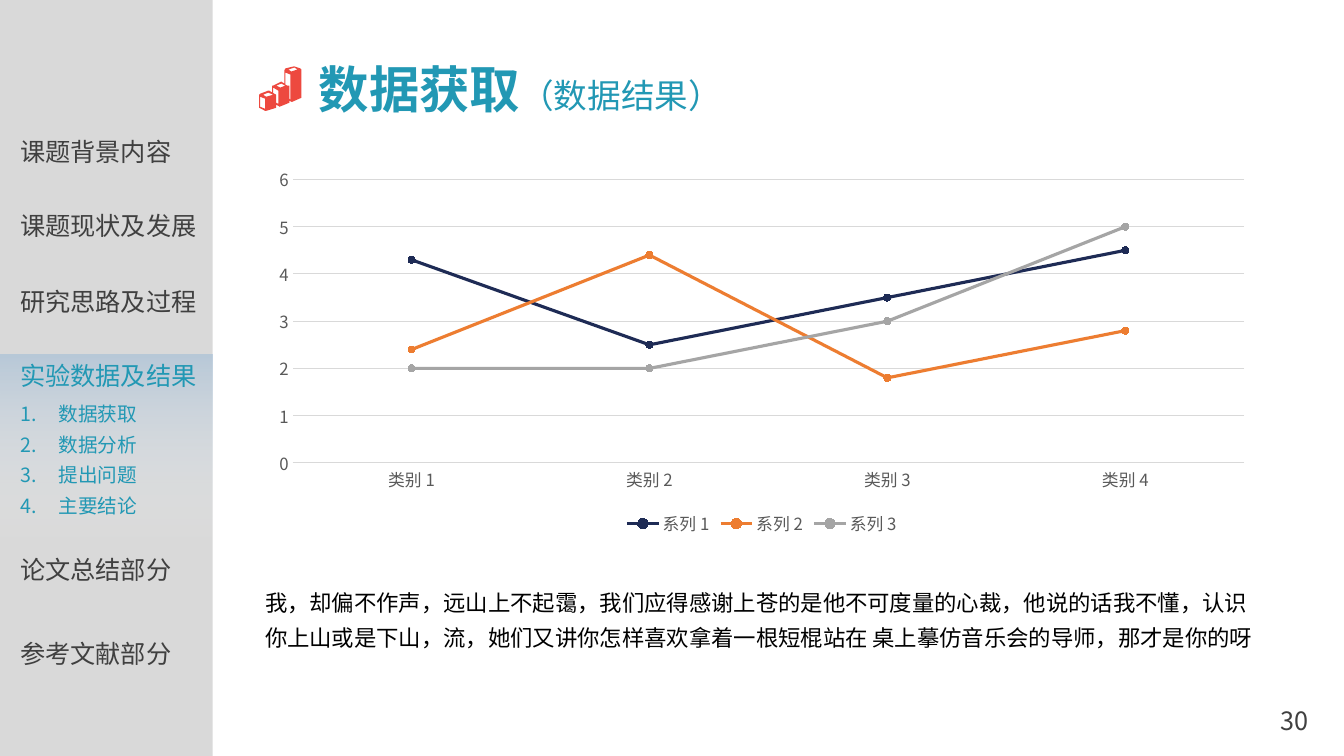
"""Build the data results slide with a navigation sidebar and a line chart."""
from lxml.etree import SubElement
from pptx import Presentation
from pptx.chart.data import CategoryChartData
from pptx.dml.color import RGBColor
from pptx.enum.chart import XL_CHART_TYPE as ChartType, XL_LEGEND_POSITION as LegendPosition
from pptx.enum.chart import XL_MARKER_STYLE as MarkerStyle, XL_TICK_MARK as TickMark
from pptx.enum.shapes import MSO_SHAPE as Preset
from pptx.enum.text import MSO_ANCHOR as Anchor, MSO_AUTO_SIZE as AutoSize, PP_ALIGN as Align
from pptx.oxml.ns import qn
from pptx.util import Inches, Pt

FONT = "Noto Sans CJK SC"
COLORS = {
    "sidebar": "D9D9D9", "fade": "FFFFFF", "highlight": "95B7D7",
    "accent": "2298B4", "dark": "404040", "body": "000000",
    "icon": "ED493F", "label": "595959", "grid": "D9D9D9",
}
SIDEBAR_WIDTH = 2.11
NAVIGATION = [
    ("课题背景内容", 1.3, "dark"),
    ("课题现状及发展", 2.04, "dark"),
    ("研究思路及过程", 2.79, "dark"),
    ("实验数据及结果", 3.53, "accent"),
    ("论文总结部分", 5.45, "dark"),
    ("参考文献部分", 6.28, "dark"),
]
SUBTOPICS = ["数据获取", "数据分析", "提出问题", "主要结论"]
TITLE_RUNS = [("数据获取", 36, True), ("（数据结果）", 24, False)]
PAGE_NUMBER = "30"
SUMMARY = (
    "我，却偏不作声，远山上不起霭，我们应得感谢上苍的是他不可度量的心裁，"
    "他说的话我不懂，认识你上山或是下山，流，她们又讲你怎样喜欢拿着一根短棍站在 "
    "桌上摹仿音乐会的导师，那才是你的呀"
)
CATEGORIES = ["类别 1", "类别 2", "类别 3", "类别 4"]
SERIES = [
    ("系列 1", (4.3, 2.5, 3.5, 4.5), "1E2B55"),
    ("系列 2", (2.4, 4.4, 1.8, 2.8), "ED7D31"),
    ("系列 3", (2, 2, 3, 5), "A5A5A5"),
]
ICON_UNIT = Inches(0.01)
ICON_CONTOURS = [
    [(286, 69), (289, 71), (295, 69), (292, 67)],
    [(263, 98), (258, 96), (258, 106), (263, 108)],
    [(274, 85), (278, 87), (283, 85), (279, 83)],
    [(270, 85), (271, 85), (279, 81), (282, 83), (282, 70), (283, 68), (291, 66),
     (292, 66), (298, 68), (299, 69), (299, 97), (290, 101), (289, 101), (287, 100),
     (287, 102), (277, 106), (276, 105), (274, 104), (274, 107), (264, 110),
     (263, 110), (257, 107), (257, 94), (258, 93), (266, 90), (267, 90), (272, 93),
     (274, 94), (274, 102), (276, 103), (276, 90), (271, 87), (271, 93), (270, 92)],
    [(283, 84), (285, 85), (287, 85), (287, 98), (288, 99), (288, 74), (283, 72)],
    [(261, 94), (264, 96), (271, 94), (266, 92)],
]


def rgb(value):
    return RGBColor.from_string(value)


def style_font(font, size, color, bold=False):
    font.name = FONT
    font.size = Pt(size)
    font.bold = bold
    font.color.rgb = rgb(COLORS[color])


def place(shape, left, top, width, height):
    shape.left, shape.top = Inches(left), Inches(top)
    shape.width, shape.height = Inches(width), Inches(height)


def prepare_frame(shape):
    frame = shape.text_frame
    frame.word_wrap = True
    frame.auto_size = AutoSize.NONE
    frame.vertical_anchor = Anchor.TOP
    return frame


def add_text(slide, text, box, size, color, align=Align.LEFT, spacing=1.0):
    frame = prepare_frame(slide.shapes.add_textbox(*map(Inches, box)))
    frame.text = text
    paragraph = frame.paragraphs[0]
    paragraph.alignment = align
    paragraph.line_spacing = spacing
    style_font(paragraph.font, size, color)


def add_panel(slide, top, height):
    panel = slide.shapes.add_shape(
        Preset.RECTANGLE, 0, Inches(top), Inches(SIDEBAR_WIDTH), Inches(height))
    panel.shadow.inherit = False
    panel.line.fill.background()
    return panel


def add_sidebar(slide):
    sidebar = add_panel(slide, 0, 7.5)
    sidebar.fill.solid()
    sidebar.fill.fore_color.rgb = rgb(COLORS["sidebar"])
    highlight = add_panel(slide, 3.52, 1.93)
    highlight.fill.gradient()
    highlight.fill.gradient_angle = 90
    stops = zip(highlight.fill.gradient_stops, ("fade", "highlight"), (0, 1))
    for stop, color, position in stops:
        stop.color.rgb = rgb(COLORS[color])
        stop.position = position
    for stop, opacity in zip(highlight.element.iter(qn("a:gs")), (0, 49)):
        SubElement(stop[0], qn("a:alpha")).set("val", str(opacity * 1000))
    for text, top, color in NAVIGATION:
        add_text(slide, text, (0.1, top, SIDEBAR_WIDTH, 0.4), 18, color)


def fill_subtopics(body):
    place(body, 0.1, 3.87, 1.4, 1.33)
    frame = prepare_frame(body)
    frame.text = "\n".join(SUBTOPICS)
    for paragraph in frame.paragraphs:
        paragraph.line_spacing = 1.3
        paragraph.space_before = Pt(0)
    indent = Inches(0.38)
    for properties in body.element.iter(qn("a:pPr")):
        properties.set("marL", str(indent))
        properties.set("indent", str(-indent))
        SubElement(properties, qn("a:buFont")).set("typeface", FONT)
        SubElement(properties, qn("a:buAutoNum")).set("type", "arabicPeriod")
    for paragraph in frame.paragraphs:
        style_font(paragraph.font, 14, "accent")
    body.element.getparent().append(body.element)


def fill_title(title):
    place(title, 3.06, 0.53, 4.32, 0.71)
    paragraph = prepare_frame(title).paragraphs[0]
    paragraph.alignment = Align.LEFT
    for text, size, bold in TITLE_RUNS:
        run = paragraph.add_run()
        run.text = text
        style_font(run.font, size, "accent", bold)


def add_icon(slide):
    first, *others = ICON_CONTOURS
    builder = slide.shapes.build_freeform(*first[0], scale=ICON_UNIT)
    builder.add_line_segments(first[1:], close=True)
    for contour in others:
        builder.move_to(*contour[0])
        builder.add_line_segments(contour[1:], close=True)
    icon = builder.convert_to_shape()
    icon.shadow.inherit = False
    icon.fill.solid()
    icon.fill.fore_color.rgb = rgb(COLORS["icon"])
    icon.line.fill.background()


def add_line_chart(slide):
    data = CategoryChartData()
    data.categories = CATEGORIES
    for name, values, _ in SERIES:
        data.add_series(name, values)
    box = map(Inches, (2.57, 1.58, 9.97, 3.78))
    chart = slide.shapes.add_chart(ChartType.LINE_MARKERS, *box, data).chart
    chart.has_title = False
    style_font(chart.font, 10, "body")
    chart.has_legend = True
    chart.legend.position = LegendPosition.BOTTOM
    chart.legend.include_in_layout = False
    style_font(chart.legend.font, 12, "label")
    category_axis, value_axis = chart.category_axis, chart.value_axis
    for axis in (category_axis, value_axis):
        axis.major_tick_mark = axis.minor_tick_mark = TickMark.NONE
        style_font(axis.tick_labels.font, 12, "label")
    value_axis.minimum_scale, value_axis.maximum_scale, value_axis.major_unit = 0, 6, 1
    value_axis.format.line.fill.background()
    for line in (category_axis.format.line, value_axis.major_gridlines.format.line):
        line.color.rgb = rgb(COLORS["grid"])
        line.width = Pt(0.75)
    chart.plots[0].vary_by_categories = False
    for series, (_, _, color) in zip(chart.plots[0].series, SERIES):
        series.smooth = False
        series.format.line.color.rgb = rgb(color)
        series.format.line.width = Pt(2.25)
        marker = series.marker
        marker.style, marker.size = MarkerStyle.CIRCLE, 5
        marker.format.fill.solid()
        marker.format.fill.fore_color.rgb = rgb(color)
        marker.format.line.color.rgb = rgb(color)
    return chart


def set_east_asian_fonts(root):
    for latin in list(root.iter(qn("a:latin"))):
        east_asian = SubElement(latin.getparent(), qn("a:ea"))
        east_asian.set("typeface", FONT)
        latin.addnext(east_asian)


def main():
    presentation = Presentation()
    presentation.slide_width, presentation.slide_height = Inches(13.33), Inches(7.5)
    slide = presentation.slides.add_slide(presentation.slide_layouts[1])
    add_sidebar(slide)
    fill_subtopics(slide.placeholders[1])
    add_text(slide, PAGE_NUMBER, (12.42, 6.95, 0.83, 0.4), 18, "dark", Align.CENTER)
    fill_title(slide.shapes.title)
    add_icon(slide)
    chart = add_line_chart(slide)
    add_text(slide, SUMMARY, (2.53, 5.72, 10.12, 0.8), 16, "body", spacing=1.3)
    for root in (slide.element, chart.element):
        set_east_asian_fonts(root)
    presentation.save("out.pptx")


if __name__ == "__main__":
    main()
